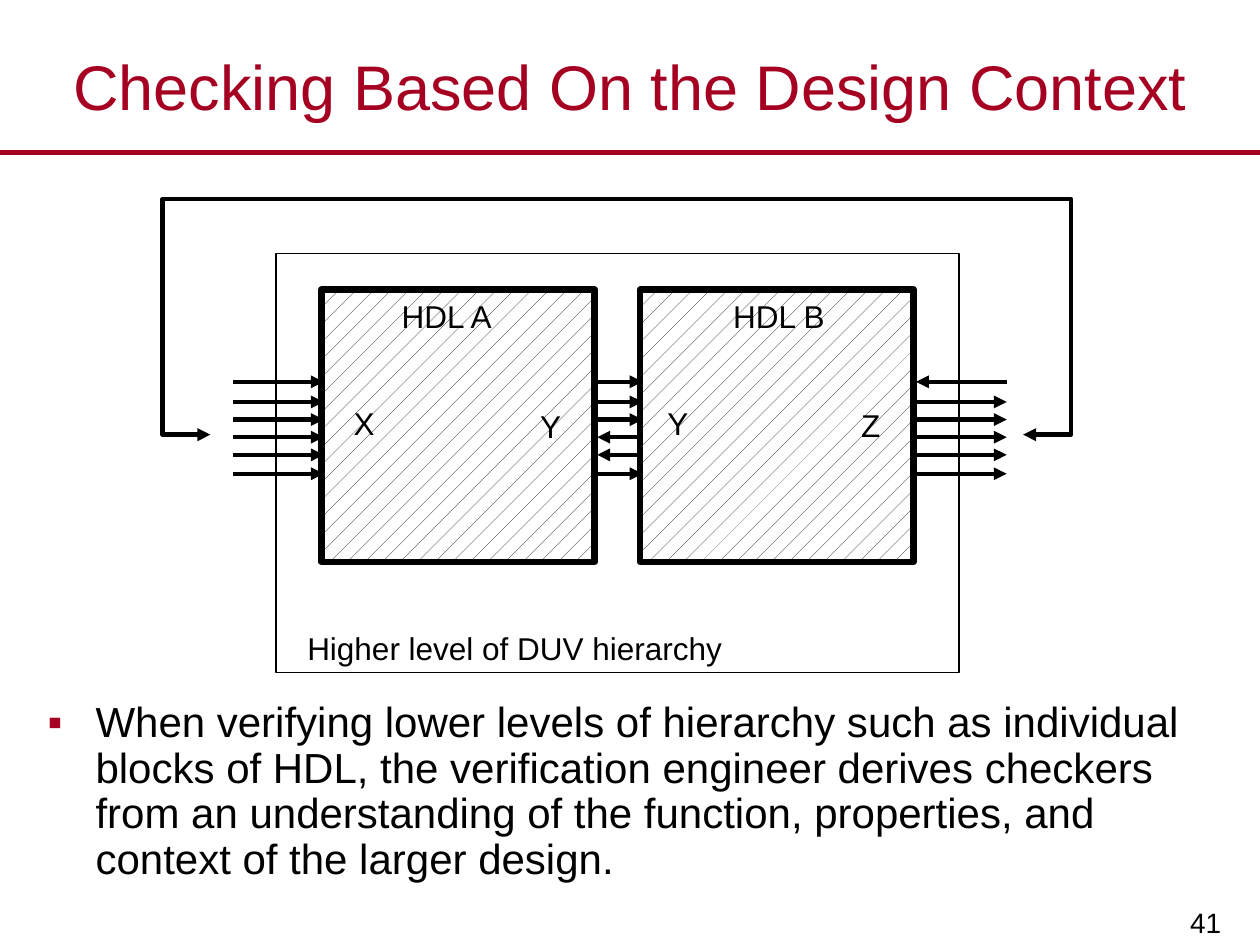
from dataclasses import dataclass

from lxml import etree
from pptx import Presentation
from pptx.dml.color import RGBColor
from pptx.enum.dml import MSO_PATTERN
from pptx.enum.shapes import MSO_CONNECTOR, MSO_SHAPE
from pptx.enum.text import MSO_ANCHOR, PP_ALIGN
from pptx.oxml.ns import qn
from pptx.util import Inches, Pt

STRAIGHT = MSO_CONNECTOR.STRAIGHT
ROUNDED = MSO_SHAPE.ROUNDED_RECTANGLE
HATCH = MSO_PATTERN.PERCENT_5
TOP, MIDDLE, BOTTOM = MSO_ANCHOR.TOP, MSO_ANCHOR.MIDDLE, MSO_ANCHOR.BOTTOM
LEFT, CENTER, RIGHT = PP_ALIGN.LEFT, PP_ALIGN.CENTER, PP_ALIGN.RIGHT


@dataclass(frozen=True)
class Theme:
    font: str = "Arial"
    accent: RGBColor = RGBColor(0xA5, 0x00, 0x21)
    ink: RGBColor = RGBColor(0, 0, 0)
    paper: RGBColor = RGBColor(255, 255, 255)
    title: int = 36
    body: int = 24
    label: int = 18
    number: int = 16
    rule: float = 3
    frame: float = 0.75
    block: float = 3.75
    wire: float = 2.48


THEME = Theme()
WIRE_ROWS = (3.03, 3.19, 3.33, 3.47, 3.61, 3.76)
ALL_ROWS = frozenset(range(len(WIRE_ROWS)))
NO_ROWS = frozenset()
BACKWARD_ROWS = frozenset({3, 4})
FEEDBACK_ROW = frozenset({0})


def add_text(page, text, left, top, width, height, size=THEME.label,
             color=THEME.ink, align=LEFT, anchor=TOP, wrap=True):
    box = page.shapes.add_textbox(
        Inches(left), Inches(top), Inches(width), Inches(height))
    frame = box.text_frame
    frame.word_wrap = wrap
    frame.vertical_anchor = anchor
    para = frame.paragraphs[0]
    para.alignment = align
    span = para.add_run()
    span.text = text
    span.font.name = THEME.font
    span.font.size = Pt(size)
    span.font.color.rgb = color
    return para


def add_bullet(para, mark, color, indent):
    para.line_spacing = 0.9
    properties = para._p.get_or_add_pPr()
    properties.set("marL", str(Inches(indent)))
    properties.set("indent", str(-Inches(indent)))
    tint = etree.SubElement(properties, qn("a:buClr"))
    etree.SubElement(tint, qn("a:srgbClr"), val=str(color))
    etree.SubElement(properties, qn("a:buFont"), typeface=THEME.font)
    etree.SubElement(properties, qn("a:buChar"), char=mark)


def style_line(shape, color, width, head=False, tail=False):
    shape.line.color.rgb = color
    shape.line.width = Pt(width)
    outline = shape.line._get_or_add_ln()
    for wanted, tag in ((head, "a:headEnd"), (tail, "a:tailEnd")):
        if wanted:
            etree.SubElement(outline, qn(tag), type="triangle")


def add_line(page, start, end, y, width, color=THEME.ink, head=False, tail=False):
    line = page.shapes.add_connector(
        STRAIGHT, Inches(start), Inches(y), Inches(end), Inches(y))
    style_line(line, color, width, head, tail)
    etree.SubElement(line._element.spPr, qn("a:effectLst"))


def add_wires(page, start, end, heads=NO_ROWS, tails=NO_ROWS):
    for row, y in enumerate(WIRE_ROWS):
        add_line(page, start, end, y, THEME.wire,
                 head=row in heads, tail=row in tails)


def add_frame(page, left, top, width, height, line_width, hatched=False):
    frame = page.shapes.add_shape(
        ROUNDED, Inches(left), Inches(top), Inches(width), Inches(height))
    frame.adjustments[0] = 0
    frame.shadow.inherit = False
    if hatched:
        frame.fill.patterned()
        frame.fill.pattern = HATCH
        frame.fill.fore_color.rgb = THEME.ink
        frame.fill.back_color.rgb = THEME.paper
    else:
        frame.fill.background()
    style_line(frame, THEME.ink, line_width)


def add_loop(page, points):
    corners = [(Inches(x), Inches(y)) for x, y in points]
    builder = page.shapes.build_freeform(*corners[0])
    builder.add_line_segments(corners[1:], close=False)
    loop = builder.convert_to_shape()
    loop.shadow.inherit = False
    loop.fill.background()
    style_line(loop, THEME.ink, THEME.wire, head=True, tail=True)


def add_diagram(page):
    add_frame(page, 2.19, 2.01, 5.42, 3.33, THEME.frame)
    for left in (2.55, 5.08):
        add_frame(page, left, 2.3, 2.17, 2.16, THEME.block, hatched=True)

    add_wires(page, 2.57, 2.2, heads=ALL_ROWS)
    add_wires(page, 5.1, 4.74, heads=ALL_ROWS - BACKWARD_ROWS, tails=BACKWARD_ROWS)
    add_wires(page, 7.63, 7.27, tails=FEEDBACK_ROW)
    add_loop(page, [(1.67, 3.45), (1.29, 3.45), (1.29, 1.58),
                    (8.5, 1.58), (8.5, 3.45), (8.12, 3.45)])
    add_wires(page, 2.21, 1.85)
    add_wires(page, 7.99, 7.63, heads=ALL_ROWS - FEEDBACK_ROW)

    for name, left in (("HDL A", 3.09), ("HDL B", 5.72)):
        add_text(page, name, left, 2.31, 0.94, 0.4, wrap=False)
    add_text(page, "Higher level of DUV hierarchy", 2.34, 4.94, 3.89, 0.4)
    for name, left, top in (("X", 2.57, 3.16), ("Y", 4.05, 3.18),
                            ("Y", 5.06, 3.16), ("Z", 6.59, 3.17)):
        add_text(page, name, left, top, 0.64, 0.4, align=CENTER)


def main():
    deck = Presentation()
    deck.slide_width, deck.slide_height = Inches(10), Inches(7.5)
    page = deck.slides.add_slide(deck.slide_layouts[6])

    add_line(page, 0, 10, 1.21, THEME.rule, THEME.accent)
    add_text(page, "41", 7.8, 6.93, 1.99, 0.57, size=THEME.number,
             align=RIGHT, anchor=BOTTOM)
    add_text(page, "Checking Based On the Design Context", 0, 0.25, 10, 0.85,
             size=THEME.title, color=THEME.accent, align=CENTER, anchor=MIDDLE)
    point = add_text(
        page,
        "When verifying lower levels of hierarchy such as individual blocks of "
        "HDL, the verification engineer derives checkers from an understanding "
        "of the function, properties, and context of the larger design.",
        0.28, 5.52, 9.38, 1.5, size=THEME.body)
    add_bullet(point, "▪", THEME.accent, 0.38)
    add_diagram(page)

    deck.save("out.pptx")


if __name__ == "__main__":
    main()
